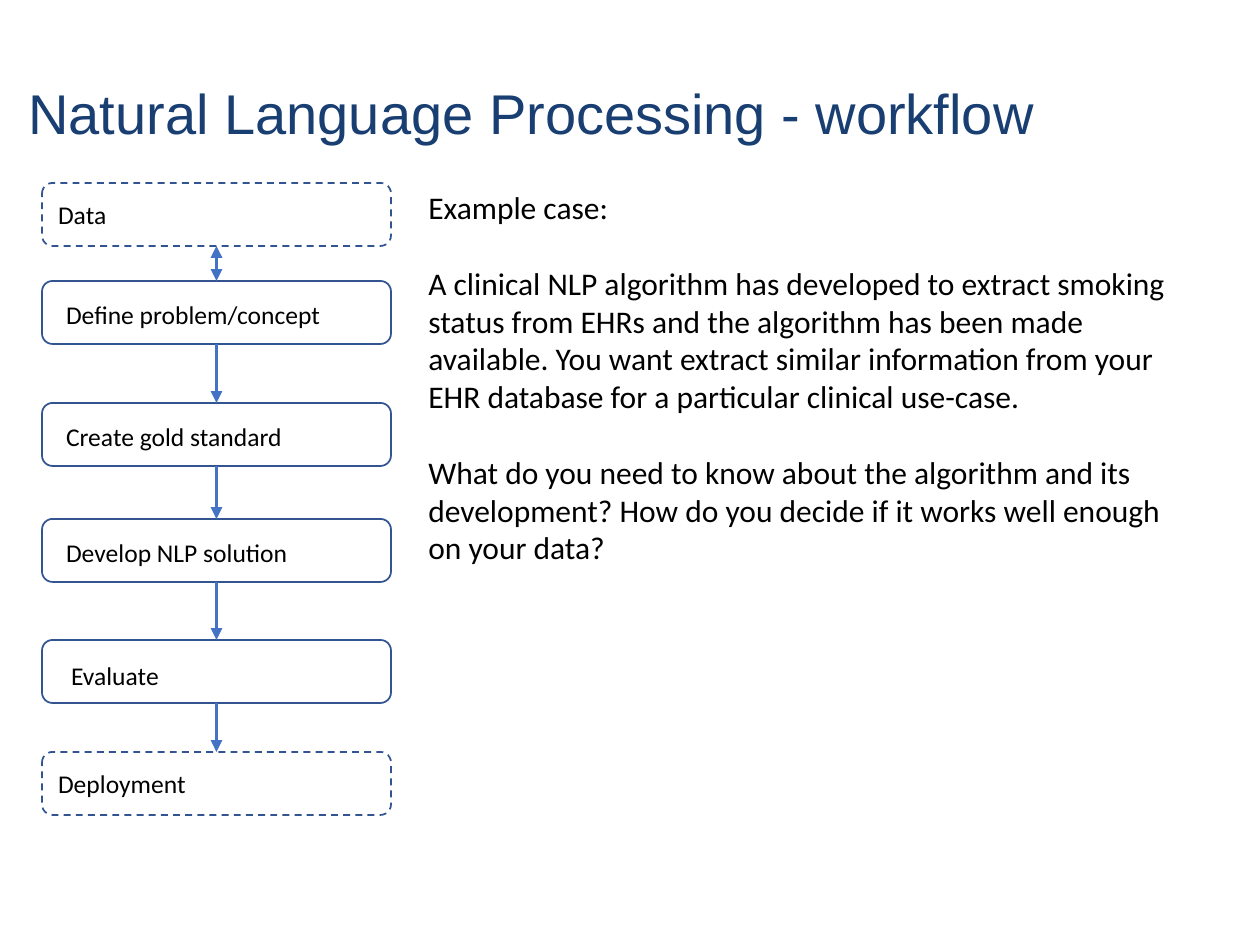
from pptx import Presentation
from pptx.dml.color import RGBColor
from pptx.enum.dml import MSO_LINE
from pptx.enum.shapes import MSO_CONNECTOR, MSO_SHAPE
from pptx.enum.text import MSO_ANCHOR, PP_ALIGN
from pptx.oxml.ns import qn
from pptx.util import Pt
from lxml.etree import SubElement

TITLE = "Natural Language Processing - workflow"
# label, top, dashed outline, left inset, top inset
STEPS = [
    ("Data", 183, True, 13, 6),
    ("Define problem/concept", 281, False, 21, 9),
    ("Create gold standard", 403, False, 21, 9),
    ("Develop NLP solution", 519, False, 21, 9),
    ("Evaluate", 640, False, 26, 13),
    ("Deployment", 752, True, 13, 6),
]
EXAMPLE = [
    "Example case:",
    "A clinical NLP algorithm has developed to extract smoking status from EHRs "
    "and the algorithm has been made available. You want extract similar "
    "information from your EHR database for a particular clinical use-case.",
    "What do you need to know about the algorithm and its development? "
    "How do you decide if it works well enough on your data?",
]
BOX_LEFT, BOX_WIDTH, BOX_HEIGHT = 42, 349, 63
TOP_SITE, BOTTOM_SITE = 0, 2


def px(length):
    return round(length * 914400 / 126)


def color(hex_string):
    return RGBColor.from_string(hex_string)


def style_text(paragraph, font_name, size, hex_string):
    for run in paragraph.runs:
        run.font.name = font_name
        run.font.size = Pt(size)
        run.font.color.rgb = color(hex_string)


def add_text_box(slide, left, top, width, height):
    text_frame = slide.shapes.add_textbox(*map(px, (left, top, width, height))).text_frame
    text_frame.word_wrap = True
    return text_frame


def add_step(slide, label, top, dashed, left_inset, top_inset):
    shape = slide.shapes.add_shape(
        MSO_SHAPE.ROUNDED_RECTANGLE,
        *map(px, (BOX_LEFT, top, BOX_WIDTH, BOX_HEIGHT)))
    shape.shadow.inherit = False
    shape.fill.background()
    shape.line.color.rgb = color("325491")
    shape.line.width = Pt(1)
    if dashed:
        shape.line.dash_style = MSO_LINE.DASH
    text_frame = shape.text_frame
    text_frame.text = label
    text_frame.vertical_anchor = MSO_ANCHOR.MIDDLE
    text_frame.margin_left = px(left_inset)
    text_frame.margin_top = px(top_inset)
    paragraph = text_frame.paragraphs[0]
    paragraph.alignment = PP_ALIGN.LEFT
    style_text(paragraph, "Calibri", 14.6, "000000")
    return shape


def add_arrow(slide, upper, lower, two_way):
    connector = slide.shapes.add_connector(MSO_CONNECTOR.STRAIGHT, 0, 0, 0, 0)
    connector.begin_connect(upper, BOTTOM_SITE)
    connector.end_connect(lower, TOP_SITE)
    connector.line.color.rgb = color("4472C4")
    connector.line.width = Pt(2.25)
    line = connector.line._get_or_add_ln()
    for end in ("a:headEnd", "a:tailEnd") if two_way else ("a:tailEnd",):
        SubElement(line, qn(end), type="triangle")
    SubElement(connector._element.spPr, qn("a:effectLst"))


def main():
    presentation = Presentation()
    presentation.slide_width, presentation.slide_height = px(1260), px(945)
    slide = presentation.slides.add_slide(presentation.slide_layouts[6])

    title = add_text_box(slide, 16, 38, 1229, 157)
    title.text = TITLE
    title.vertical_anchor = MSO_ANCHOR.MIDDLE
    title.paragraphs[0].line_spacing = 0.9
    style_text(title.paragraphs[0], "Arial", 32, "193E72")

    boxes = [add_step(slide, *step) for step in STEPS]
    for index, (upper, lower) in enumerate(zip(boxes, boxes[1:])):
        add_arrow(slide, upper, lower, two_way=index == 0)

    example = add_text_box(slide, 416, 182, 770, 600)
    example.text = "\n".join(EXAMPLE)
    for index, paragraph in enumerate(example.paragraphs):
        paragraph.space_before = Pt(21.6 if index else 0)
        style_text(paragraph, "Calibri", 18, "000000")

    presentation.save("out.pptx")


if __name__ == "__main__":
    main()
